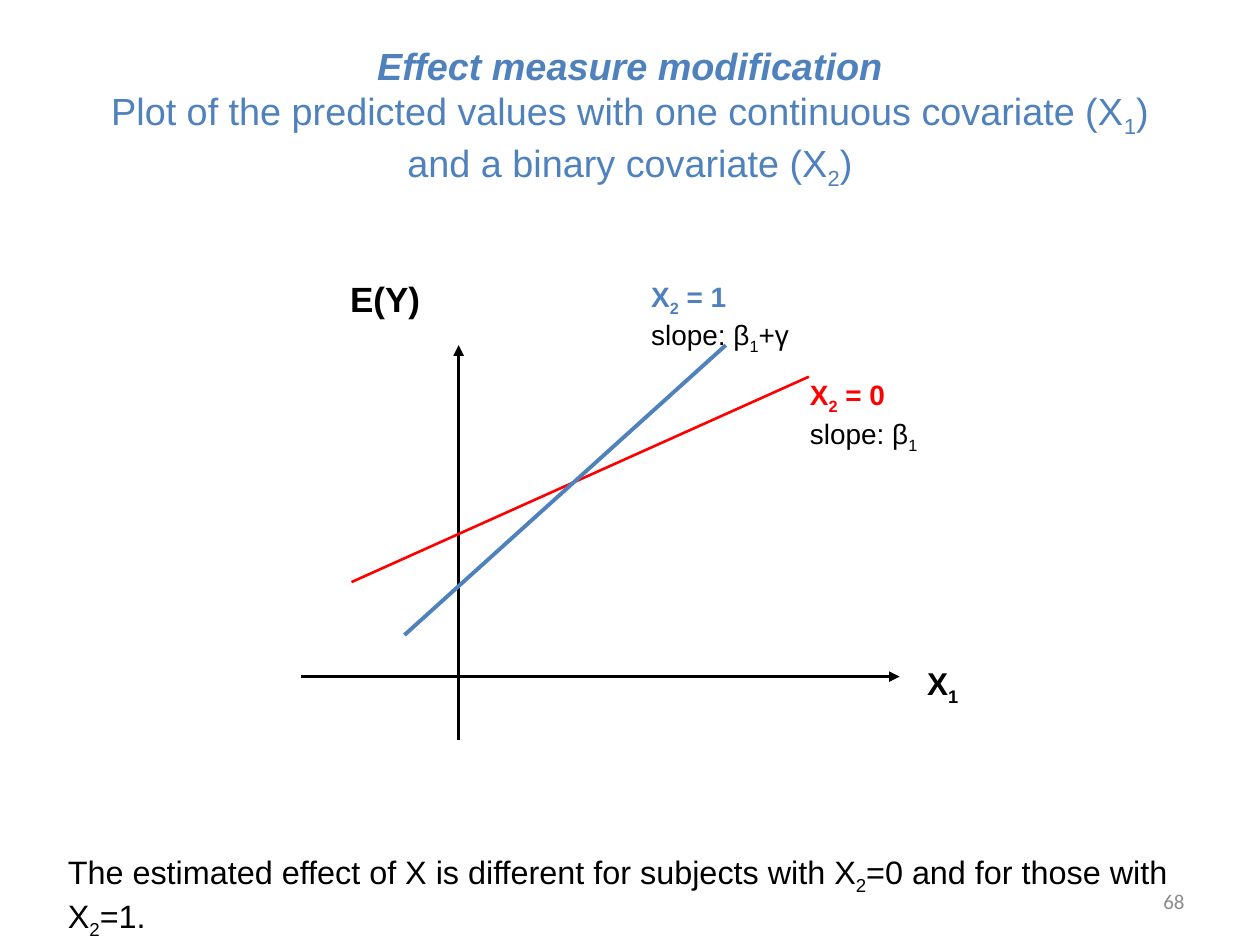
from lxml import etree
from pptx import Presentation
from pptx.dml.color import RGBColor
from pptx.enum.shapes import MSO_CONNECTOR
from pptx.enum.text import MSO_ANCHOR, PP_ALIGN
from pptx.oxml.ns import qn
from pptx.util import Inches, Pt

LEFT, MID, RIGHT = PP_ALIGN.LEFT, PP_ALIGN.CENTER, PP_ALIGN.RIGHT
TOP, CENTRE = MSO_ANCHOR.TOP, MSO_ANCHOR.MIDDLE
STRAIGHT = MSO_CONNECTOR.STRAIGHT
COLS, ROWS = 100, 75
HUES = {"blue": "4F81BD", "red": "FF0000", "black": "000000", "grey": "8C8C8C"}


class Board:
    """Draws on one slide, with places given in columns and rows."""

    def __init__(self, deck):
        self.slide = deck.slides.add_slide(deck.slide_layouts[6])
        self.col = deck.slide_width / COLS
        self.row = deck.slide_height / ROWS

    def place(self, *cells):
        steps = (self.col, self.row) * 2
        return [round(cell * step) for cell, step in zip(cells, steps)]

    def run(self, para, text, size, hue, low=False, **style):
        part = para.add_run()
        part.text = text
        look = {"name": "Arial", "size": Pt(size), **style}
        for key, value in look.items():
            setattr(part.font, key, value)
        part.font.color.rgb = RGBColor.from_string(HUES[hue])
        if low:
            part.font._element.set("baseline", "-25000")

    def words(self, para, text, size, hue, **style):
        """Adds text in which the character after each _ is a subscript."""
        first, *rest = text.split("_")
        self.run(para, first, size, hue, **style)
        for piece in rest:
            self.run(para, piece[0], size, hue, low=True, **style)
            if piece[1:]:
                self.run(para, piece[1:], size, hue, **style)

    def box(self, cells, align=LEFT, anchor=TOP):
        frame = self.slide.shapes.add_textbox(*self.place(*cells)).text_frame
        frame.word_wrap = True
        frame.vertical_anchor = anchor
        frame.paragraphs[0].alignment = align
        return frame

    def label(self, cells, text, size, hue="black", align=LEFT, anchor=TOP, **style):
        frame = self.box(cells, align, anchor)
        self.words(frame.paragraphs[0], text, size, hue, **style)
        return frame

    def key(self, cells, name, slope, hue):
        """Names a fitted line, with its slope below."""
        frame = self.label(cells, name, 16, hue, bold=True)
        self.words(frame.add_paragraph(), slope, 16, "black")

    def line(self, start, end, hue, width, arrow=False):
        link = self.slide.shapes.add_connector(STRAIGHT, *self.place(*start, *end))
        link.line.color.rgb = RGBColor.from_string(HUES[hue])
        link.line.width = Pt(width)
        props = link._element.spPr
        if arrow:
            tip = etree.SubElement(props.find(qn("a:ln")), qn("a:tailEnd"))
            tip.set("type", "triangle")
        etree.SubElement(props, qn("a:effectLst"))


def main():
    deck = Presentation()
    deck.slide_width, deck.slide_height = Inches(10), Inches(7.5)
    board = Board(deck)

    title = board.label((5, 3, 90, 12.5), "Effect measure modification", 21.6, "blue",
                        MID, CENTRE, bold=True, italic=True).paragraphs[0]
    title.add_line_break()
    board.words(title, "Plot of the predicted values with one continuous covariate (X_1) "
                "and a binary covariate (X_2)", 21.6, "blue")

    board.label((4.4, 67.1, 90, 6.5), "The estimated effect of X is different for "
                "subjects with X_2=0 and for those with X_2=1.", 18.5)

    board.key((50.7, 21.7, 14.2, 6), "X_2 = 1", "slope: β_1+γ", "blue")
    board.line((36.4, 58.7), (36.4, 27.4), "black", 2, arrow=True)
    board.line((23.9, 53.7), (71.4, 53.7), "black", 1.5, arrow=True)
    board.label((72.6, 52.2, 6.5, 3.8), "X_1", 18, bold=True)
    board.line((27.9, 46.2), (64.2, 29.9), "red", 1.5)
    board.key((63.3, 29.5, 11.2, 11.2), "X_2 = 0", "slope: β_1", "red")
    board.line((32.1, 50.4), (57.6, 27.4), "blue", 2.25)
    board.label((26.8, 21.5, 13.6, 8), "E(Y)", 20, bold=True)
    board.label((71.7, 69.5, 23.3, 4), "68", 12, "grey", RIGHT, CENTRE, name="Calibri")

    deck.save("out.pptx")


if __name__ == "__main__":
    main()
